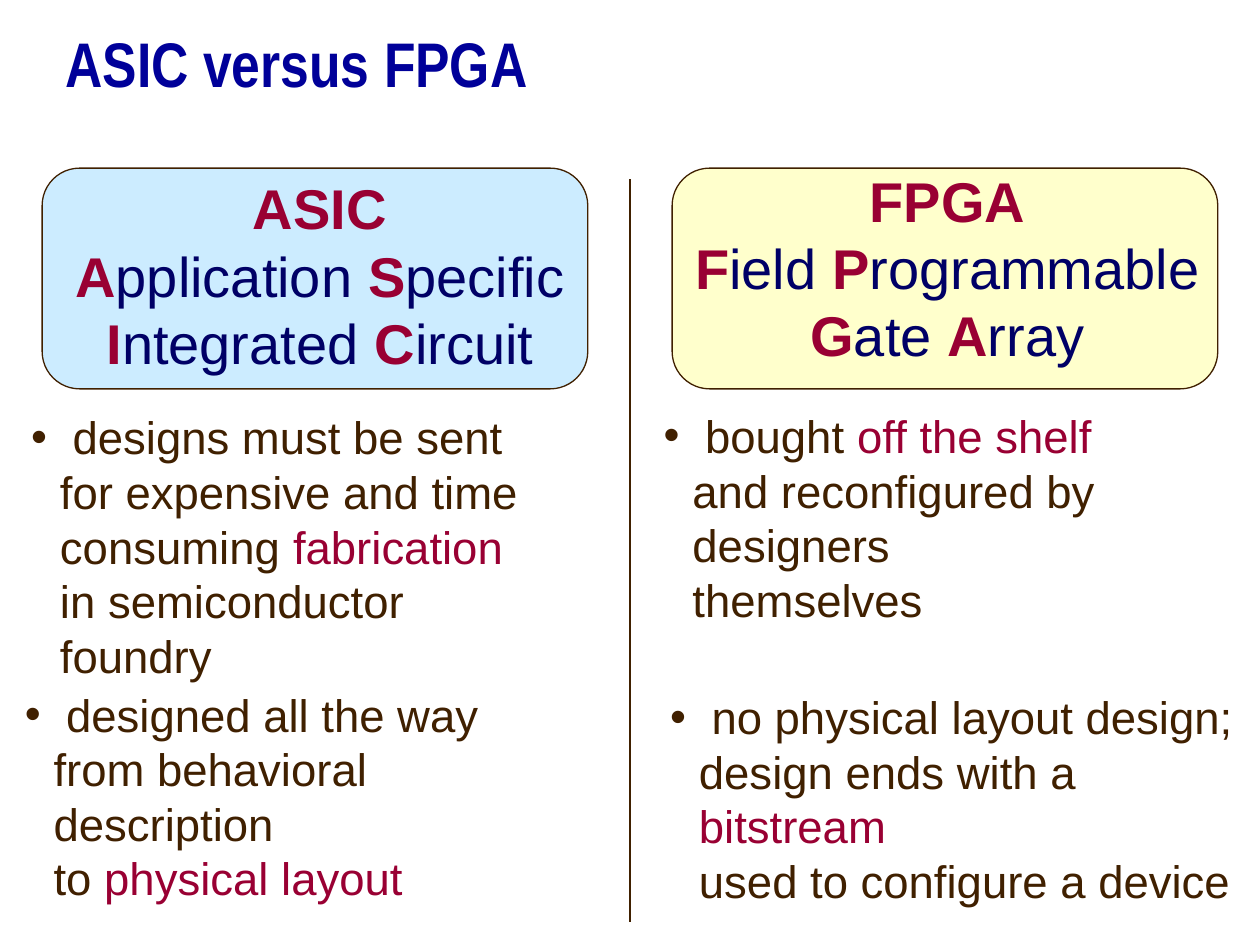
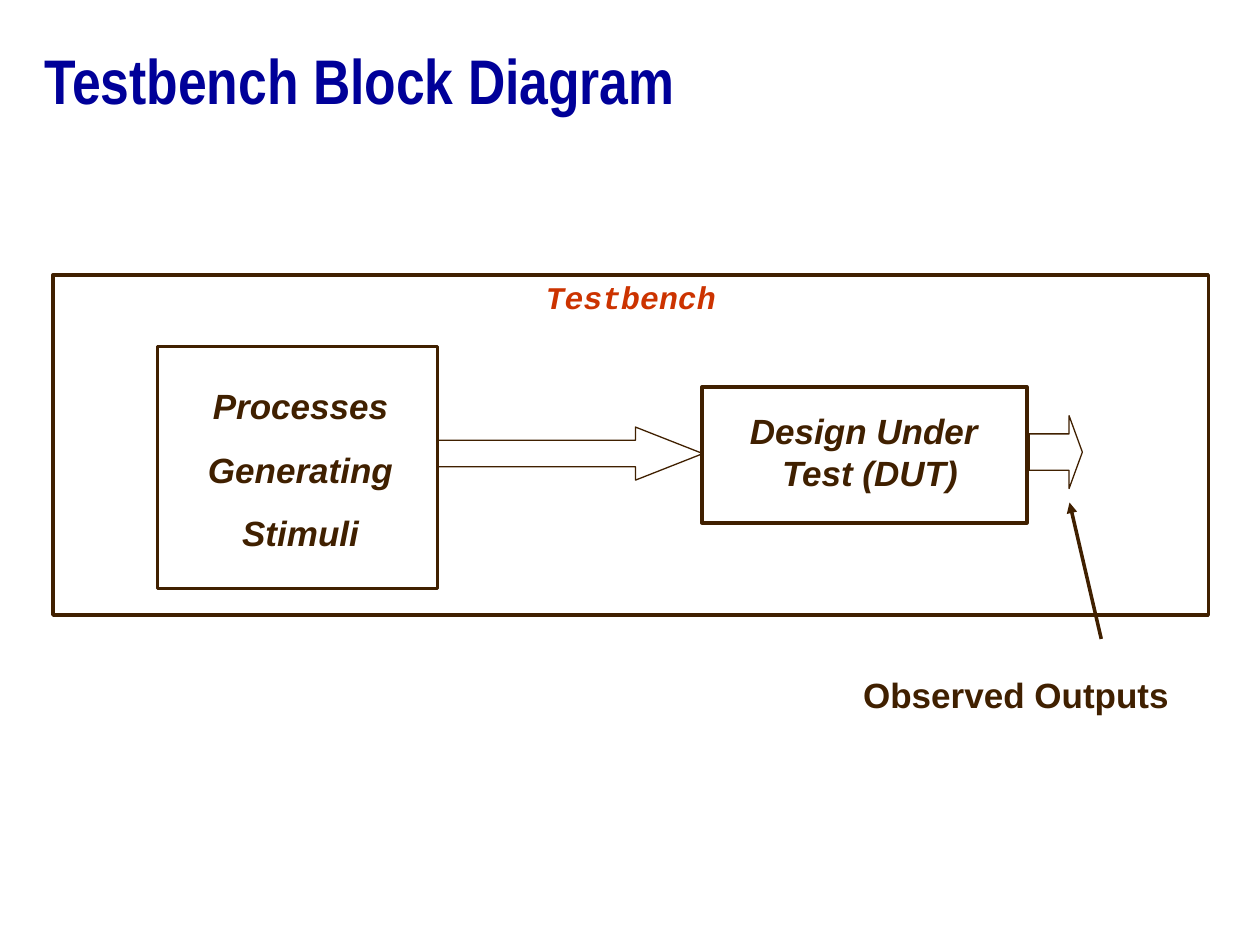
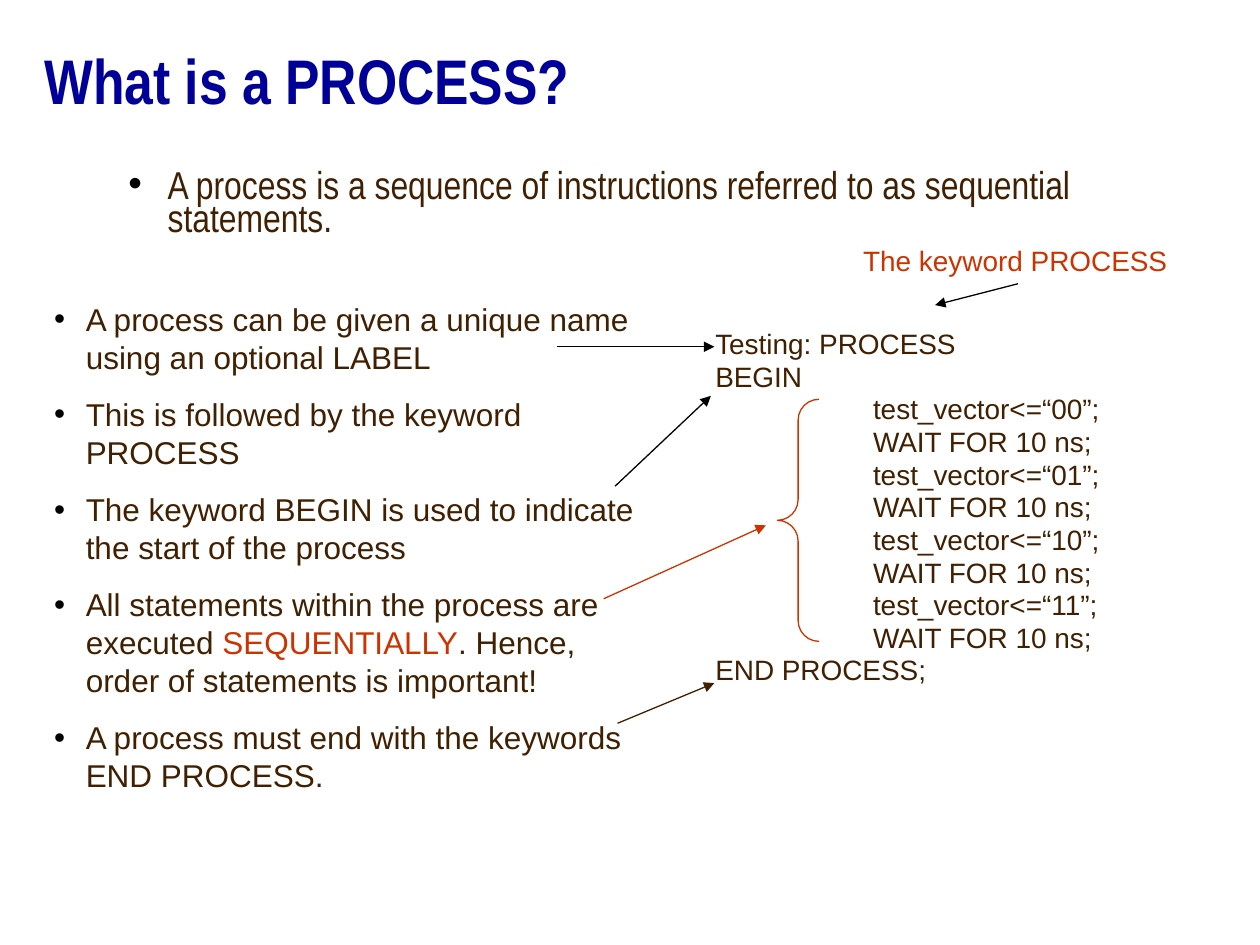
"""Build three lecture slides on FPGA design, testbenches and VHDL processes."""
from lxml.etree import SubElement
from pptx import Presentation
from pptx.dml.color import RGBColor
from pptx.enum.shapes import MSO_CONNECTOR, MSO_SHAPE
from pptx.enum.text import MSO_ANCHOR, MSO_AUTO_SIZE, PP_ALIGN
from pptx.oxml.ns import qn
from pptx.util import Cm, Pt

BROWN = RGBColor(0x40, 0x20, 0x00)
BLACK = RGBColor(0x00, 0x00, 0x00)
TITLE_BLUE = RGBColor(0x00, 0x00, 0x99)
NAVY = RGBColor(0x00, 0x00, 0x66)
CRIMSON = RGBColor(0x99, 0x00, 0x33)
RED = RGBColor(0xCC, 0x33, 0x00)
SKY = RGBColor(0xCC, 0xEC, 0xFF)
CREAM = RGBColor(0xFF, 0xFF, 0xCC)


def outline(page, kind, at, fill=None, color=BROWN, width=0.75, adjust=()):
    """Draw a preset shape with a thin outline."""
    shape = page.shapes.add_shape(kind, *map(Cm, at))
    shape.shadow.inherit = False
    if fill is None:
        shape.fill.background()
    else:
        shape.fill.solid()
        shape.fill.fore_color.rgb = fill
    shape.line.color.rgb = color
    shape.line.width = Pt(width)
    for index, value in enumerate(adjust):
        shape.adjustments[index] = value
    return shape


def write(frame, texts, size, color=BROWN, accent=RED, font="Arial", bold=None,
          italic=None, accent_bold=None, align=PP_ALIGN.LEFT, before=0,
          spacing=None, margin=0, indent=0, bullet=None):
    """Fill a text frame; spans between asterisks take the accent colour."""
    frame.word_wrap = True
    for number, text in enumerate(texts):
        para = frame.add_paragraph() if number else frame.paragraphs[0]
        para.alignment = align
        if number:
            para.space_before = Pt(before)
        if spacing:
            para.line_spacing = spacing
        properties = para._p.get_or_add_pPr()
        properties.set("marL", str(Cm(margin)))
        properties.set("indent", str(Cm(indent)))
        if bullet is not None:
            bullet_color = SubElement(properties, qn("a:buClr"))
            SubElement(bullet_color, qn("a:srgbClr"), val=str(bullet))
            SubElement(properties, qn("a:buFont"), typeface="Arial")
            SubElement(properties, qn("a:buChar"), char="•")
        para.font.name = font
        para.font.size = Pt(size)
        para.font.color.rgb = color
        para.font.bold = bold
        para.font.italic = italic
        for row, line in enumerate(text.split("\n")):
            if row:
                para.add_line_break()
            for position, words in enumerate(line.split("*")):
                if words:
                    span = para.add_run()
                    span.text = words
                    if position % 2:
                        span.font.color.rgb = accent
                        span.font.bold = accent_bold


deck = Presentation()
deck.slide_width, deck.slide_height = Cm(25.4), Cm(19.05)
pages = []
for title, at in [
    ("ASIC versus FPGA", (1.07, 0.2, 23.29, 2.11)),
    ("Testbench Block Diagram", (0.64, 0, 23.29, 3.18)),
    ("What is a PROCESS?", (0.64, 0, 23.29, 3.18)),
]:
    page = deck.slides.add_slide(deck.slide_layouts[5])
    box = page.shapes.title
    box.left, box.top, box.width, box.height = map(Cm, at)
    box.text_frame.vertical_anchor = MSO_ANCHOR.MIDDLE
    box.text_frame.auto_size = MSO_AUTO_SIZE.NONE
    write(box.text_frame, [title], 36, TITLE_BLUE, font="Arial Narrow", bold=True)
    pages.append(page)
comparison, testbench, process = pages

for left, fill, text_left, text_top, heading in [
    (0.85, SKY, 0.86, 3.38,
     "*ASIC*\n*A*pplication *S*pecific\n*I*ntegrated *C*ircuit"),
    (13.55, CREAM, 13.51, 3.23,
     "*FPGA*\n*F*ield *P*rogrammable\n*G*ate *A*rray"),
]:
    outline(comparison, MSO_SHAPE.ROUNDED_RECTANGLE, (left, 3.39, 11, 4.45),
            fill, adjust=[0.17])
    box = comparison.shapes.add_textbox(*map(Cm, (text_left, text_top, 11.18, 4.32)))
    write(box.text_frame, [heading], 32, NAVY, CRIMSON, accent_bold=True,
          align=PP_ALIGN.CENTER)

for at, point in [
    ((0.38, 8.13, 10.77, 5.6),
     " designs must be sent\nfor expensive and time\nconsuming *fabrication*\n"
     "in semiconductor foundry"),
    ((13.13, 8.1, 9.4, 4.6),
     " bought *off the shelf*\nand reconfigured by\ndesigners themselves"),
    ((0.25, 13.72, 11.53, 4.6),
     " designed all the way\nfrom behavioral description\nto *physical layout*"),
    ((13.26, 13.77, 12.14, 4.6),
     " no physical layout design;\ndesign ends with a *bitstream*\n"
     "used to configure a device"),
]:
    box = comparison.shapes.add_textbox(*map(Cm, at))
    write(box.text_frame, [point], 26, accent=CRIMSON, margin=0.58, indent=-0.58,
          bullet=BROWN)

frame = outline(testbench, MSO_SHAPE.RECTANGLE, (1.07, 5.54, 23.29, 6.86),
                width=2).text_frame
frame.vertical_anchor = MSO_ANCHOR.TOP
write(frame, ["Testbench"], 18, RED, font="Courier New", bold=True, italic=True,
      align=PP_ALIGN.CENTER, spacing=0.95)
for at in [(3.18, 6.99, 5.64, 4.88), (14.15, 7.8, 6.55, 2.74)]:
    outline(testbench, MSO_SHAPE.RECTANGLE, at, width=2)
for at, head in [((20.75, 8.38, 1.07, 1.47), 0.25), ((8.81, 8.61, 5.36, 1.07), 1.27)]:
    outline(testbench, MSO_SHAPE.RIGHT_ARROW, at, adjust=[0.5, head])

for at, labels, italic, align, margin, indent in [
    ((3.38, 7.62, 5.36, 3.68), ["Processes", "Generating", "Stimuli"],
     True, PP_ALIGN.CENTER, 0, 0),
    ((14.3, 8.13, 5.84, 1.96), ["Design Under Test (DUT)"],
     True, PP_ALIGN.CENTER, 0.64, -0.25),
    ((17.15, 13.46, 7.95, 1.12), ["Observed Outputs"],
     None, PP_ALIGN.LEFT, 0, 0),
]:
    box = testbench.shapes.add_textbox(*map(Cm, at))
    write(box.text_frame, labels, 20, bold=True, italic=italic, align=align,
          before=12.5, margin=margin, indent=indent)

definition = process.shapes.add_textbox(Cm(1.07), Cm(3.38), Cm(23.06), Cm(1.7))
write(definition.text_frame,
      ["A process is a sequence of instructions referred to as sequential statements."],
      22.2, font="Arial Narrow", spacing=0.7, margin=2.06, indent=-0.79, bullet=BLACK)

rules = process.shapes.add_textbox(Cm(0.84), Cm(5.92), Cm(12.27), Cm(10.24))
write(rules.text_frame, [
    "A process can be given a unique name using an optional LABEL",
    "This is followed by the keyword PROCESS",
    "The keyword BEGIN is used to indicate the start of the process",
    "All statements within the process are executed *SEQUENTIALLY*. "
    "Hence, order of statements is important!",
    "A process must end with the keywords END PROCESS.",
], 18, before=11.2, margin=0.64, indent=-0.64, bullet=BLACK)

statements = []
for vector in ["00", "01", "10", "11"]:
    statements += [f"test_vector<=“{vector}”;", "WAIT FOR 10 ns;"]
code = process.shapes.add_textbox(Cm(14.17), Cm(6.78), Cm(10.16), Cm(11.28))
write(code.text_frame, ["Testing: PROCESS", "BEGIN", *statements, "END PROCESS;"],
      16, before=10, spacing=0.45)
for para in code.text_frame.paragraphs[2:-1]:
    para._p.pPr.set("marL", str(Cm(3.18)))

keyword = process.shapes.add_textbox(Cm(17.15), Cm(4.78), Cm(7.42), Cm(0.94))
write(keyword.text_frame, ["The keyword PROCESS"], 16, RED)
outline(process, MSO_SHAPE.LEFT_BRACE, (15.67, 8.05, 0.84, 4.88), color=RED,
        adjust=[0.5, 0.5])

for page, ends, color, width, arrow in [
    (comparison, (12.7, 3.61, 12.7, 18.59), BROWN, 0.75, False),
    (testbench, (22.2, 12.88, 21.56, 10.13), BROWN, 2, True),
    (process, (11.23, 6.99, 14.4, 6.99), BLACK, 0.75, True),
    (process, (20.52, 5.72, 18.85, 6.15), BLACK, 0.75, True),
    (process, (12.4, 9.8, 14.33, 7.98), BLACK, 0.75, True),
    (process, (12.17, 12.07, 15.44, 10.59), RED, 0.75, True),
    (process, (12.45, 14.58, 14.4, 13.77), BROWN, 0.75, True),
]:
    connector = page.shapes.add_connector(MSO_CONNECTOR.STRAIGHT, *map(Cm, ends))
    connector.line.color.rgb = color
    connector.line.width = Pt(width)
    if arrow:
        SubElement(connector.line._get_or_add_ln(), qn("a:tailEnd"), type="triangle")
    SubElement(connector._element.spPr, qn("a:effectLst"))

deck.save("out.pptx")
